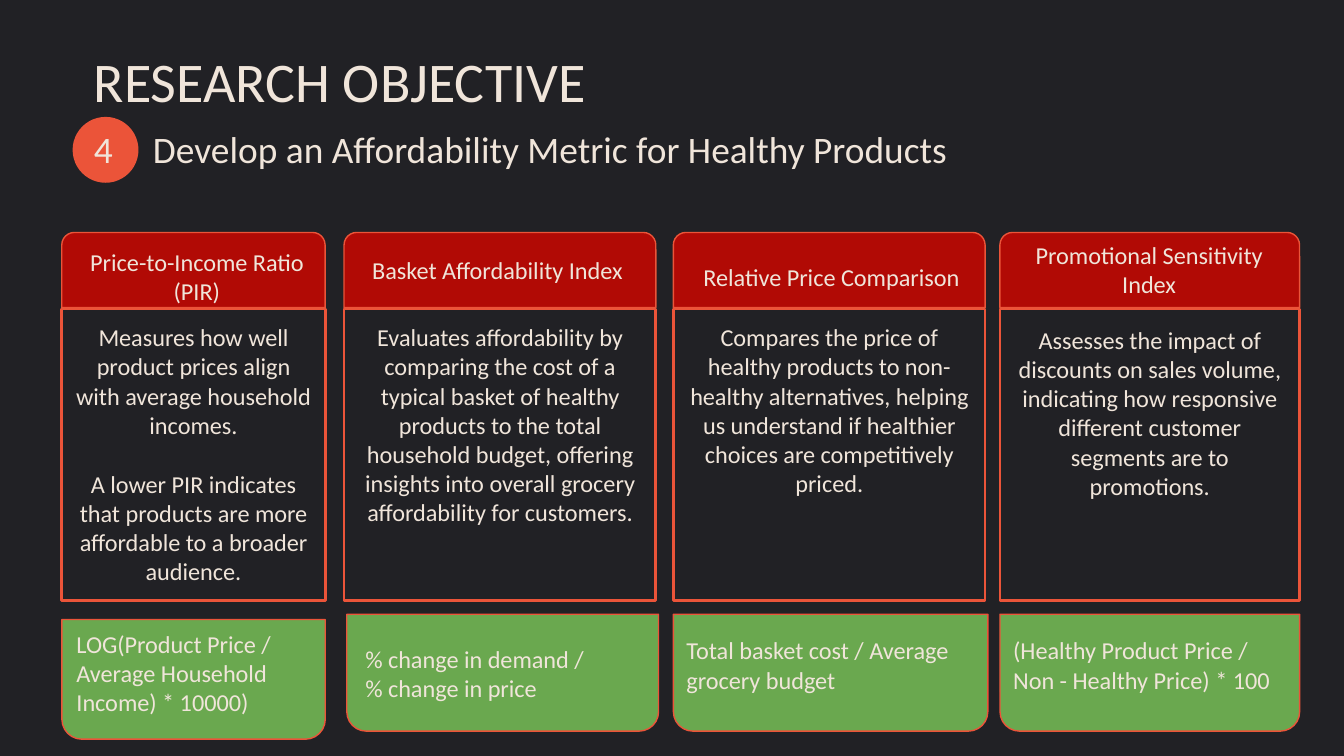
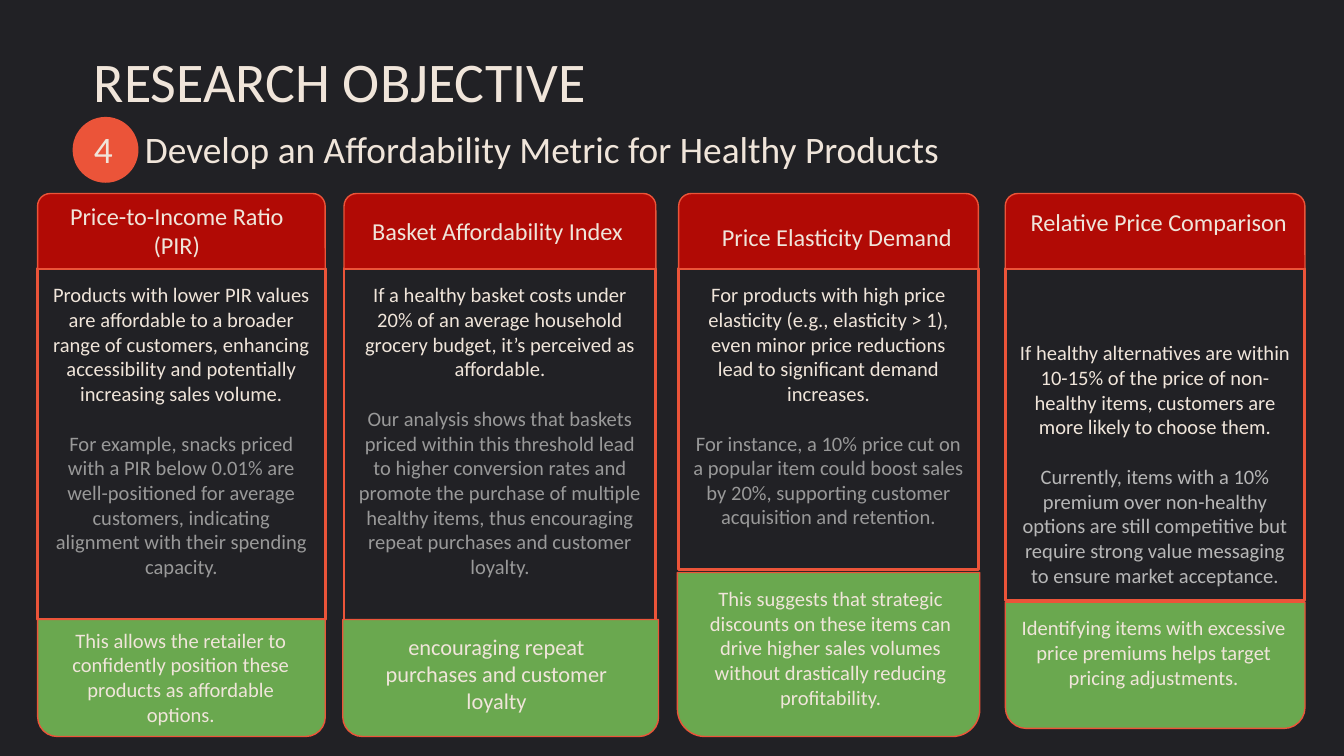
from dataclasses import dataclass
from typing import NamedTuple, Optional

from pptx import Presentation
from pptx.dml.color import RGBColor
from pptx.enum.shapes import MSO_SHAPE
from pptx.enum.text import MSO_ANCHOR, PP_ALIGN
from pptx.util import Inches, Pt

RECTANGLE = MSO_SHAPE.RECTANGLE
OVAL = MSO_SHAPE.OVAL
ROUND_TOP = MSO_SHAPE.ROUND_2_SAME_RECTANGLE
TOP, BOTTOM = MSO_ANCHOR.TOP, MSO_ANCHOR.BOTTOM
LEFT, CENTER = PP_ALIGN.LEFT, PP_ALIGN.CENTER

DARK = RGBColor(0x21, 0x21, 0x25)
CREAM = RGBColor(0xF0, 0xE5, 0xDA)
ORANGE = RGBColor(0xEB, 0x54, 0x39)
RED = RGBColor(0xB1, 0x0A, 0x05)
GREEN = RGBColor(0x6A, 0xA8, 0x4F)
GRAY = RGBColor(0x99, 0x99, 0x99)
LIGHT_GRAY = RGBColor(0xB7, 0xB7, 0xB7)

FONT = "Calibri"
SLIDE_WIDTH = Inches(10)
SLIDE_HEIGHT = SLIDE_WIDTH * 9 // 16
MARGIN = 0.1
HEADER_HEIGHT = 0.56
LINE_SPACING = 1.22
TITLE = "RESEARCH OBJECTIVE"
SUBTITLE = "Develop an Affordability Metric for Healthy Products"


class Box(NamedTuple):
    left: float
    top: float
    width: float
    height: float


@dataclass
class TextStyle:
    size: float
    align: PP_ALIGN = CENTER
    anchor: MSO_ANCHOR = TOP
    gap: float = 0  # space between paragraphs, in lines
    second_color: RGBColor = CREAM
    top_margin: float = MARGIN
    side_margin: float = MARGIN


@dataclass
class Column:
    left: float
    width: float
    heading: str
    heading_box: Box
    body: list[str]
    body_height: float
    body_style: TextStyle
    footer: list[str]
    footer_box: Box
    footer_text_box: Box
    footer_style: TextStyle


@dataclass
class ObjectiveSlide:
    subtitle_left: float
    header_top: float
    body_top: float
    columns: list[Column]


def write_text(shape, paragraphs: list[str], style: TextStyle) -> None:
    frame = shape.text_frame
    settings = {
        "word_wrap": True,
        "vertical_anchor": style.anchor,
        "margin_left": Inches(style.side_margin),
        "margin_right": Inches(style.side_margin),
        "margin_top": Inches(style.top_margin),
        "margin_bottom": Inches(MARGIN),
    }
    for name, value in settings.items():
        setattr(frame, name, value)
    for index, text in enumerate(paragraphs):
        paragraph = frame.add_paragraph() if index else frame.paragraphs[0]
        paragraph.alignment = style.align
        if index and style.gap:
            paragraph.space_before = Pt(round(style.gap * style.size * LINE_SPACING, 1))
        run = paragraph.add_run()
        run.text = text
        for name, value in {"name": FONT, "size": Pt(style.size)}.items():
            setattr(run.font, name, value)
        run.font.color.rgb = style.second_color if index else CREAM


def add_text(slide, box: Box, paragraphs: list[str], style: TextStyle) -> None:
    shape = slide.shapes.add_textbox(*map(Inches, box))
    write_text(shape, paragraphs, style)


def add_panel(slide, kind: MSO_SHAPE, box: Box, fill: Optional[RGBColor] = None,
              line_width: float = 0):
    shape = slide.shapes.add_shape(kind, *map(Inches, box))
    shape.shadow.inherit = False
    if fill is None:
        shape.fill.background()
    else:
        shape.fill.solid()
        shape.fill.fore_color.rgb = fill
    if line_width:
        shape.line.color.rgb = ORANGE
        shape.line.width = Pt(line_width)
    else:
        shape.line.fill.background()
    return shape


def add_column(slide, layout: ObjectiveSlide, column: Column) -> None:
    # Outlined description
    body_box = Box(column.left, layout.body_top, column.width, column.body_height)
    body = add_panel(slide, RECTANGLE, body_box, line_width=1.5)
    write_text(body, column.body, column.body_style)

    # Red heading
    header_box = Box(column.left, layout.header_top, column.width, HEADER_HEIGHT)
    add_panel(slide, ROUND_TOP, header_box, RED, 0.75)
    add_text(slide, column.heading_box, [column.heading], TextStyle(13))

    # Green footer, rounded at the bottom
    footer = add_panel(slide, ROUND_TOP, column.footer_box, GREEN, 0.75)
    footer.rotation = 180
    add_text(slide, column.footer_text_box, column.footer, column.footer_style)


def add_objective_slide(presentation, layout: ObjectiveSlide) -> None:
    slide = presentation.slides.add_slide(presentation.slide_layouts[6])
    slide.background.fill.solid()
    slide.background.fill.fore_color.rgb = DARK

    # Title, numbered badge and subtitle
    line_style = TextStyle(20, LEFT, BOTTOM)
    add_text(slide, Box(0.6, 0.25, 8.43, 0.63), [TITLE], TextStyle(30, LEFT))
    add_text(slide, Box(layout.subtitle_left, 0.88, 8.13, 0.49), [SUBTITLE], line_style)
    add_panel(slide, OVAL, Box(0.54, 0.87, 0.49, 0.49), ORANGE)
    add_text(slide, Box(0.6, 1, 0.37, 0.37), ["4"], line_style)

    for column in layout.columns:
        add_column(slide, layout, column)


# Text styles of the columns
DEFINITION = TextStyle(13, gap=1)
LOWER_DEFINITION = TextStyle(13, top_margin=0.12)
FORMULA = TextStyle(13, LEFT)
FINDING = TextStyle(11, gap=1, second_color=GRAY)
LOW_FINDING = TextStyle(11, anchor=BOTTOM, gap=1, second_color=LIGHT_GRAY)
CONCLUSION = TextStyle(11)
NARROW_CONCLUSION = TextStyle(12, side_margin=0.15)

METRICS = ObjectiveSlide(1.04, 1.73, 2.3, [
    Column(
        0.46, 1.96, "Price-to-Income Ratio (PIR)", Box(0.48, 1.74, 1.97, 0.64),
        ["Measures how well product prices align with average household incomes.",
         "A lower PIR indicates that products are more affordable to a broader audience."],
        2.17, DEFINITION,
        ["LOG(Product Price / Average Household Income) * 10000)"],
        Box(0.46, 4.61, 1.96, 0.89), Box(0.47, 4.58, 1.99, 0.86), FORMULA),
    Column(
        2.56, 2.32, "Basket Affordability Index", Box(2.56, 1.8, 2.28, 0.42),
        ["Evaluates affordability by comparing the cost of a typical basket of healthy "
         "products to the total household budget, offering insights into overall grocery "
         "affordability for customers."],
        2.17, DEFINITION,
        ["% change in demand /", "% change in price"],
        Box(2.58, 4.57, 2.32, 0.87), Box(2.62, 4.69, 2.23, 0.64), FORMULA),
    Column(
        5.01, 2.32, "Relative Price Comparison", Box(4.99, 1.85, 2.39, 0.42),
        ["Compares the price of healthy products to non-healthy alternatives, helping us "
         "understand if healthier choices are competitively priced."],
        2.17, DEFINITION,
        ["Total basket cost / Average grocery budget"],
        Box(5.01, 4.57, 2.34, 0.87), Box(5.01, 4.63, 2.34, 0.64), FORMULA),
    Column(
        7.44, 2.23, "Promotional Sensitivity Index", Box(7.48, 1.69, 2.14, 0.64),
        ["Assesses the impact of discounts on sales volume, indicating how responsive "
         "different customer segments are to promotions."],
        2.17, LOWER_DEFINITION,
        ["(Healthy Product Price / Non - Healthy Price) * 100"],
        Box(7.44, 4.57, 2.23, 0.87), Box(7.44, 4.63, 2.23, 0.86), FORMULA),
])

FINDINGS = ObjectiveSlide(0.98, 1.44, 2, [
    Column(
        0.28, 2.14, "Price-to-Income Ratio (PIR)", Box(0.33, 1.4, 1.97, 0.64),
        ["Products with lower PIR values are affordable to a broader range of customers, "
         "enhancing accessibility and potentially increasing sales volume.",
         "For example, snacks priced with a PIR below 0.01% are well-positioned for average "
         "customers, indicating alignment with their spending capacity."],
        2.61, FINDING,
        ["This allows the retailer to confidently position these products as affordable "
         "options."],
        Box(0.28, 4.61, 2.14, 0.87), Box(0.35, 4.57, 1.99, 0.94), CONCLUSION),
    Column(
        2.56, 2.32, "Basket Affordability Index", Box(2.56, 1.51, 2.28, 0.42),
        ["If a healthy basket costs under 20% of an average household grocery budget, it’s "
         "perceived as affordable.",
         "Our analysis shows that baskets priced within this threshold lead to higher "
         "conversion rates and promote the purchase of multiple healthy items, thus "
         "encouraging repeat purchases and customer loyalty."],
        3.01, FINDING,
        ["encouraging repeat purchases and customer loyalty"],
        Box(2.55, 4.61, 2.35, 0.87), Box(2.58, 4.61, 2.23, 0.81), NARROW_CONCLUSION),
    Column(
        5.05, 2.23, "Price Elasticity Demand", Box(5.03, 1.55, 2.39, 0.42),
        ["For products with high price elasticity (e.g., elasticity > 1), even minor price "
         "reductions lead to significant demand increases.",
         "For instance, a 10% price cut on a popular item could boost sales by 20%, "
         "supporting customer acquisition and retention."],
        2.24, FINDING,
        ["This suggests that strategic discounts on these items can drive higher sales "
         "volumes without drastically reducing profitability."],
        Box(5.04, 4.26, 2.25, 1.22), Box(5.04, 4.26, 2.28, 1.13), CONCLUSION),
    Column(
        7.48, 2.23, "Relative Price Comparison", Box(7.55, 1.44, 2.14, 0.64),
        ["If healthy alternatives are within 10-15% of the price of non-healthy items, "
         "customers are more likely to choose them.",
         "Currently, items with a 10% premium over non-healthy options are still "
         "competitive but require strong value messaging to ensure market acceptance."],
        2.47, LOW_FINDING,
        ["Identifying items with excessive price premiums helps target pricing adjustments."],
        Box(7.48, 4.48, 2.23, 0.94), Box(7.47, 4.48, 2.23, 0.94), CONCLUSION),
])


def main() -> None:
    presentation = Presentation()
    presentation.slide_width = SLIDE_WIDTH
    presentation.slide_height = SLIDE_HEIGHT
    for layout in (METRICS, FINDINGS):
        add_objective_slide(presentation, layout)
    presentation.save("out.pptx")


if __name__ == "__main__":
    main()
